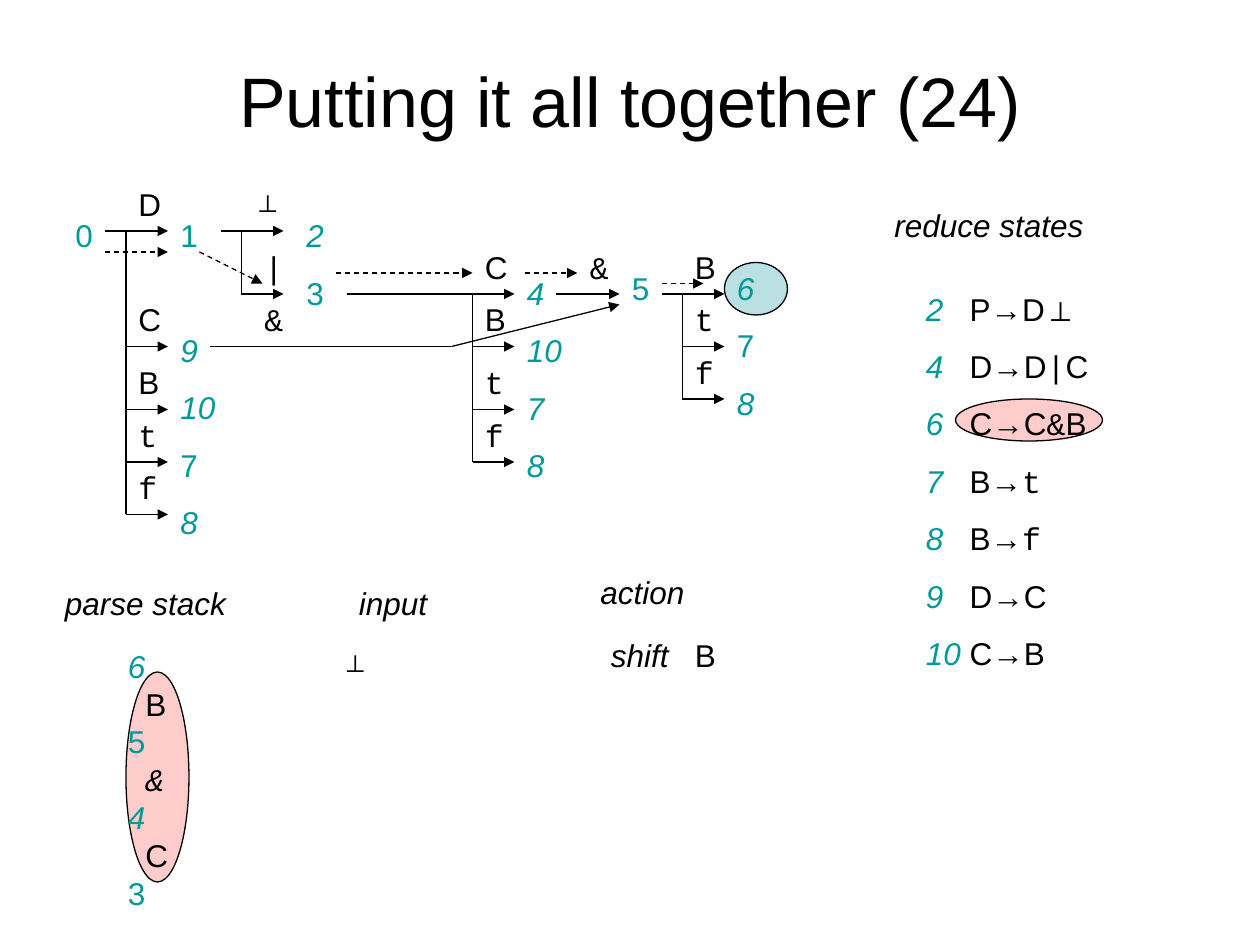
from dataclasses import dataclass

from lxml import etree
from pptx import Presentation
from pptx.dml.color import RGBColor
from pptx.enum.dml import MSO_LINE
from pptx.enum.shapes import MSO_CONNECTOR, MSO_SHAPE
from pptx.enum.text import MSO_ANCHOR, MSO_AUTO_SIZE, PP_ALIGN
from pptx.oxml.ns import qn
from pptx.util import Pt

STRAIGHT = MSO_CONNECTOR.STRAIGHT
OVAL = MSO_SHAPE.OVAL
DASH = MSO_LINE.DASH
GROW = MSO_AUTO_SIZE.SHAPE_TO_FIT_TEXT
FIXED = MSO_AUTO_SIZE.NONE
MIDDLE = MSO_ANCHOR.MIDDLE
CENTER = PP_ALIGN.CENTER


@dataclass(frozen=True)
class Theme:
    ink: RGBColor = RGBColor(0x00, 0x00, 0x00)
    teal: RGBColor = RGBColor(0x00, 0x99, 0x99)
    pink: RGBColor = RGBColor(0xFF, 0xCC, 0xCC)
    pale_blue: RGBColor = RGBColor(0xBB, 0xE0, 0xE3)
    sans: str = "Arial"
    mono: str = "Courier New"
    title: int = 40
    body: int = 18
    marker: int = 16
    stroke: float = 0.75
    line_height: float = 21.7
    gap: float = 11.2


THEME = Theme()


def style(name=THEME.sans, size=THEME.body, color=THEME.ink, italic=False):
    return {"name": name, "size": Pt(size), "color": color, "italic": italic}


TITLE = style(size=THEME.title)
STATE = style(color=THEME.teal)
REDUCE = style(color=THEME.teal, italic=True)
SYMBOL = style()
TERMINAL = style(THEME.mono)
STACKED_TERMINAL = style(THEME.mono, italic=True)
HEADING = style(italic=True)
END = style(size=THEME.marker)

FRAME = {
    "word_wrap": True,
    "auto_size": GROW,
    "margin_left": Pt(7.2),
    "margin_right": Pt(7.2),
    "margin_top": Pt(3.6),
    "margin_bottom": Pt(3.6),
}


def add_run(paragraph, content, look):
    run = paragraph.add_run()
    run.text = content
    for key, value in look.items():
        if key == "color":
            run.font.color.rgb = value
        else:
            setattr(run.font, key, value)


def add_text(slide, left, top, width, lines, gap=THEME.gap, tab=None):
    height = 7.2 + len(lines) * THEME.line_height + (len(lines) - 1) * gap
    frame = slide.shapes.add_textbox(Pt(left), Pt(top), Pt(width), Pt(height)).text_frame
    for key, value in FRAME.items():
        setattr(frame, key, value)
    for index, runs in enumerate(lines):
        paragraph = frame.paragraphs[0] if index == 0 else frame.add_paragraph()
        paragraph.space_before = Pt(gap if index else 0)
        if tab:
            stops = etree.SubElement(paragraph._p.get_or_add_pPr(), qn("a:tabLst"))
            etree.SubElement(stops, qn("a:tab"), pos=str(Pt(tab)), algn="l")
        for content, look in runs:
            add_run(paragraph, content, look)
    return frame


def add_title(slide, content):
    frame = add_text(slide, 36, 12, 648, [[(content, TITLE)]])
    frame.auto_size = FIXED
    frame.vertical_anchor = MIDDLE
    frame.paragraphs[0].alignment = CENTER
    box = slide.shapes[-1]
    box.height = Pt(90)


def add_line(slide, x1, y1, x2, y2, arrow=True, dashed=False):
    connector = slide.shapes.add_connector(STRAIGHT, Pt(x1), Pt(y1), Pt(x2), Pt(y2))
    connector.line.color.rgb = THEME.ink
    connector.line.width = Pt(THEME.stroke)
    if dashed:
        connector.line.dash_style = DASH
    if arrow:
        etree.SubElement(connector.line._get_or_add_ln(), qn("a:tailEnd"), type="triangle")
    etree.SubElement(connector._element.spPr, qn("a:effectLst"))


def add_highlight(slide, left, top, width, height, color):
    oval = slide.shapes.add_shape(OVAL, Pt(left), Pt(top), Pt(width), Pt(height))
    oval.shadow.inherit = False
    oval.fill.solid()
    oval.fill.fore_color.rgb = color
    oval.line.color.rgb = THEME.ink
    oval.line.width = Pt(THEME.stroke)


def add_edge_label(slide, left, edge_y, content, look):
    add_text(slide, left, edge_y - 30, 30, [[(content, look)]])


def add_branch(slide, start, trunk, tip, edges):
    levels = [y for y, *_ in edges]
    add_line(slide, trunk, levels[0], trunk, levels[-1], arrow=False)
    for y, label_shift, content, look in edges:
        add_line(slide, start if y == levels[0] else trunk, y, tip, y)
        add_edge_label(slide, trunk + label_shift, y, content, look)


def add_states(slide):
    columns = [
        (36, 120, 30, [("0", STATE)]),
        (96, 120, 52, [("1", STATE), ("9", REDUCE), ("10", REDUCE), ("7", STATE), ("8", REDUCE)]),
        (168, 120, 84, [("2", REDUCE), ("3", STATE)]),
        (294, 120 + THEME.line_height + THEME.gap, 54,
         [(number, REDUCE) for number in ("4", "10", "7", "8")]),
        (354, 150, 48, [("5", STATE)]),
        (414, 150, 78, [("6", REDUCE), ("7", STATE), ("8", REDUCE)]),
    ]
    for left, top, width, states in columns:
        frame = add_text(slide, left, top, width, [[state] for state in states])
        if states[0][0] == "1":
            frame.paragraphs[1].space_before = Pt(2 * THEME.gap + THEME.line_height)


def add_automaton(slide):
    add_states(slide)
    add_branch(slide, 60, 72, 96, [
        (132, 0, "D", SYMBOL), (198, 0, "C", SYMBOL), (234, 0, "B", SYMBOL),
        (264, 0, "t", TERMINAL), (294, 0, "f", TERMINAL)])
    add_branch(slide, 126, 138, 162, [(132, 0, "⊥", END), (168, 6, "|", TERMINAL)])
    add_branch(slide, 198, 270, 294, [
        (168, 0, "C", SYMBOL), (198, 0, "B", SYMBOL),
        (234, 0, "t", TERMINAL), (264, 0, "f", TERMINAL)])
    add_branch(slide, 378, 390, 414, [
        (168, 0, "B", SYMBOL), (198, 0, "t", TERMINAL), (228, 0, "f", TERMINAL)])
    add_line(slide, 318, 168, 354, 168)
    add_edge_label(slide, 330, 168, "&", TERMINAL)
    add_line(slide, 120, 198, 258, 198, arrow=False)
    add_line(slide, 258, 198, 354, 174)
    add_edge_label(slide, 144, 198, "&", TERMINAL)
    for step in [(60, 144, 96, 144), (114, 144, 150, 162), (192, 156, 270, 156),
                 (300, 156, 330, 156), (378, 162, 402, 162)]:
        add_line(slide, *step, dashed=True)


def add_rules(slide):
    rules = [
        ("2", [("P→D⊥", SYMBOL)]),
        ("4", [("D→D", SYMBOL), ("|", TERMINAL), ("C", SYMBOL)]),
        ("6", [("C→C", SYMBOL), ("&", TERMINAL), ("B", SYMBOL)]),
        ("7", [("B→", SYMBOL), ("t", TERMINAL)]),
        ("8", [("B→", SYMBOL), ("f", TERMINAL)]),
        ("9", [("D→C", SYMBOL)]),
        ("10", [("C→B", SYMBOL)]),
    ]
    lines = [[(number, REDUCE), ("\t", SYMBOL), *rule] for number, rule in rules]
    add_text(slide, 522, 162, 120, lines, tab=25)


def add_stack(slide):
    entries = [("6", REDUCE), ("B", SYMBOL), ("5", STATE), ("&", STACKED_TERMINAL),
               ("4", REDUCE), ("C", SYMBOL), ("3", STATE)]
    frame = add_text(slide, 66, 366, 96, [[entry] for entry in entries], gap=0)
    for pushed_symbol in frame.paragraphs[1::2]:
        pushed_symbol._p.get_or_add_pPr().set("marL", str(Pt(10)))


def main():
    deck = Presentation()
    deck.slide_width, deck.slide_height = Pt(720), Pt(540)
    slide = deck.slides.add_slide(deck.slide_layouts[6])

    add_highlight(slide, 72, 384, 36, 120, THEME.pink)
    add_highlight(slide, 546, 228, 84, 24, THEME.pink)
    add_highlight(slide, 414, 150, 36, 30, THEME.pale_blue)
    add_title(slide, "Putting it all together (24)")
    add_automaton(slide)
    add_rules(slide)
    add_stack(slide)
    for left, top, width, heading in [
            (504, 114, 132, "reduce states"), (30, 330, 126, "parse stack"),
            (198, 330, 108, "input"), (336, 324, 66, "action")]:
        add_text(slide, left, top, width, [[(heading, HEADING)]])
    add_text(slide, 188, 365, 130, [[("⊥", END)]])
    add_text(slide, 342, 360, 162, [[("shift", HEADING), ("\tB", SYMBOL)]], tab=48)
    deck.save("out.pptx")


if __name__ == "__main__":
    main()
